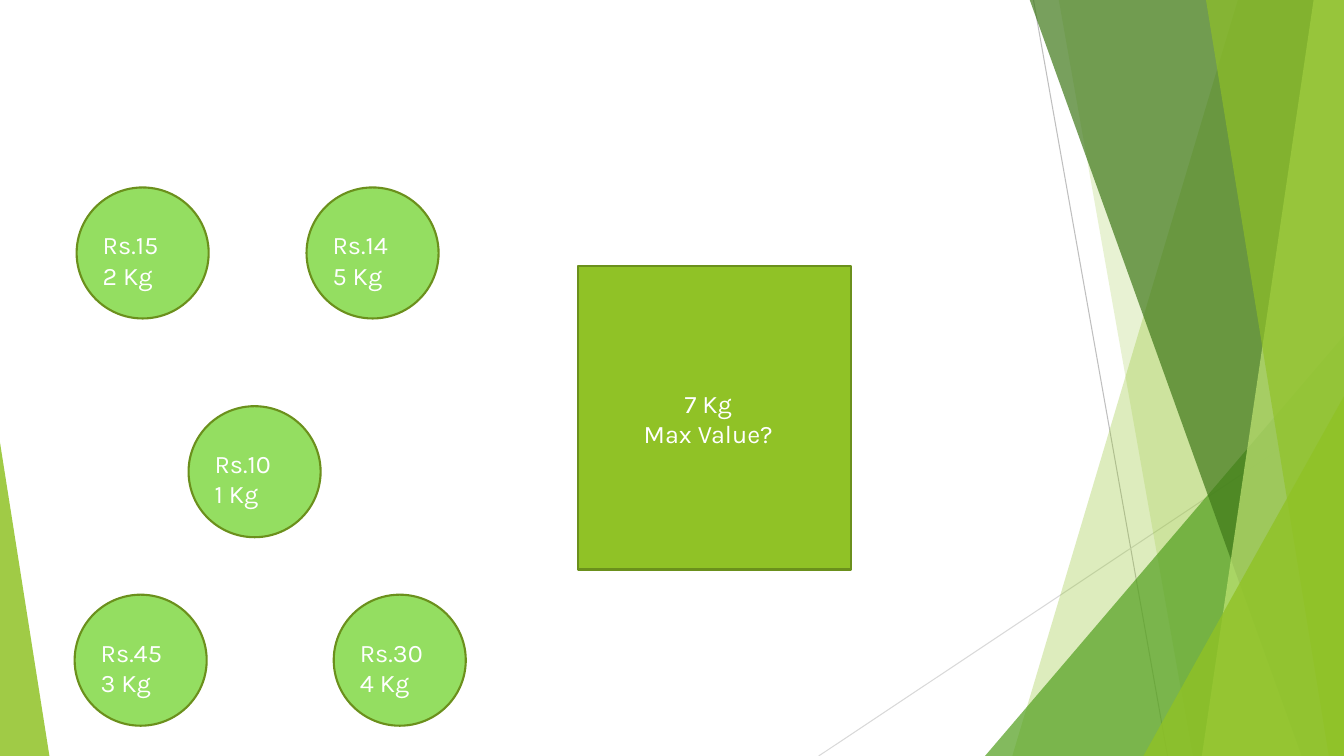
from lxml.etree import SubElement
from pptx import Presentation
from pptx.dml.color import RGBColor
from pptx.enum.shapes import MSO_CONNECTOR, MSO_SHAPE
from pptx.enum.text import PP_ALIGN
from pptx.oxml.ns import qn
from pptx.util import Inches, Pt

W, H = 13.33, 7.5
TOP = -0.01
FONT, TEXT_SIZE = "Karla", 18
LIME = RGBColor(0x90, 0xC2, 0x26)
GREEN = RGBColor(0x54, 0xA0, 0x21)
FOREST = RGBColor(0x3F, 0x78, 0x19)
PALE = RGBColor(0xC0, 0xE4, 0x74)
MINT = RGBColor(0x94, 0xDE, 0x61)
OLIVE = RGBColor(0x6B, 0x90, 0x1C)
WHITE = RGBColor(0xFF, 0xFF, 0xFF)
GREY = RGBColor(0xBF, 0xBF, 0xBF)
LIGHT_GREY = RGBColor(0xD9, 0xD9, 0xD9)

ITEMS = [
    (["Rs.15", "2 Kg"], 0.76, 1.86),
    (["Rs.14", "5 Kg"], 3.04, 1.86),
    (["Rs.45", "3 Kg"], 0.74, 5.9),
    (["Rs.30", "4 Kg"], 3.31, 5.9),
    (["Rs.10", "1 Kg"], 1.87, 4.03),
]
ITEM_SIZE = (1.31, 1.3)
LABEL_OFFSET = (0.16, 0.37)
LABEL_SIZE = (0.96, 0.71)

KNAPSACK = ["7 Kg", "Max Value?"]
KNAPSACK_BOX = (5.73, 2.64, 2.71, 3.01)
KNAPSACK_LABEL = (6.07, 3.8, 1.91, 0.71)

RAYS = [
    ((10.25, 0), (11.58, H), GREY),
    ((W, 4.03), (8.12, H), LIGHT_GREY),
]
FACETS = [
    ("band", 12.28, 10.04, LIME, 30),
    ("band", 10.5, 11.83, LIME, 20),
    ("corner", 9.77, 3.56, 3.33, 1, GREEN, 72),
    ("band", 10.21, 12.91, FOREST, 70),
    ("band", 13.03, 11.92, PALE, 70),
    ("band", 11.96, 13.18, LIME, 65),
    ("corner", 11.34, 1.99, 3.93, 1, LIME, 80),
    ("corner", 0, 0.49, 4.39, 0, LIME, 85),
]


def paint(s, color, opacity=100, border=None):
    s.shadow.inherit = False
    s.fill.solid()
    s.fill.fore_color.rgb = color
    if opacity < 100:
        clr = s._element.spPr.find(qn("a:solidFill"))[0]
        SubElement(clr, qn("a:alpha")).set("val", str(opacity * 1000))
    if border is None:
        s.line.fill.background()
    else:
        s.line.color.rgb = border
        s.line.width = Pt(1.5)


def add_preset(shapes, kind, box, color, opacity=100, border=None):
    s = shapes.add_shape(kind, *map(Inches, box))
    paint(s, color, opacity, border)
    return s


def add_ray(shapes, start, end, color):
    s = shapes.add_connector(MSO_CONNECTOR.STRAIGHT, *map(Inches, start + end))
    s.line.color.rgb = color
    s.line.width = Pt(0.75)
    SubElement(s._element.spPr, qn("a:effectLst"))


def add_band(shapes, top_x, bottom_x, color, opacity):
    points = [(W, TOP), (W, H), (bottom_x, H)]
    builder = shapes.build_freeform(Inches(top_x), Inches(TOP))
    builder.add_line_segments([(Inches(x), Inches(y)) for x, y in points])
    paint(builder.convert_to_shape(), color, opacity)


def add_corner(shapes, left, width, top, apex, color, opacity):
    box = (left, top, width, H - top)
    s = add_preset(shapes, MSO_SHAPE.ISOSCELES_TRIANGLE, box, color, opacity)
    s.adjustments[0] = apex


def add_label(shapes, lines, box, align):
    tf = shapes.add_textbox(*map(Inches, box)).text_frame
    tf.word_wrap = True
    tf.text = "\n".join(lines)
    for p in tf.paragraphs:
        p.alignment = align
        for r in p.runs:
            r.font.name = FONT
            r.font.size = Pt(TEXT_SIZE)
            r.font.color.rgb = WHITE


def main():
    prs = Presentation()
    prs.slide_width, prs.slide_height = Inches(W), Inches(H)
    shapes = prs.slides.add_slide(prs.slide_layouts[6]).shapes

    for ray in RAYS:
        add_ray(shapes, *ray)
    draw = {"band": add_band, "corner": add_corner}
    for kind, *facet in FACETS:
        draw[kind](shapes, *facet)

    add_preset(shapes, MSO_SHAPE.RECTANGLE, KNAPSACK_BOX, LIME, border=OLIVE)
    add_label(shapes, KNAPSACK, KNAPSACK_LABEL, PP_ALIGN.CENTER)

    dx, dy = LABEL_OFFSET
    for lines, x, y in ITEMS:
        add_preset(shapes, MSO_SHAPE.OVAL, (x, y, *ITEM_SIZE), MINT, border=OLIVE)
        add_label(shapes, lines, (x + dx, y + dy, *LABEL_SIZE), PP_ALIGN.LEFT)

    prs.save("out.pptx")


if __name__ == "__main__":
    main()
